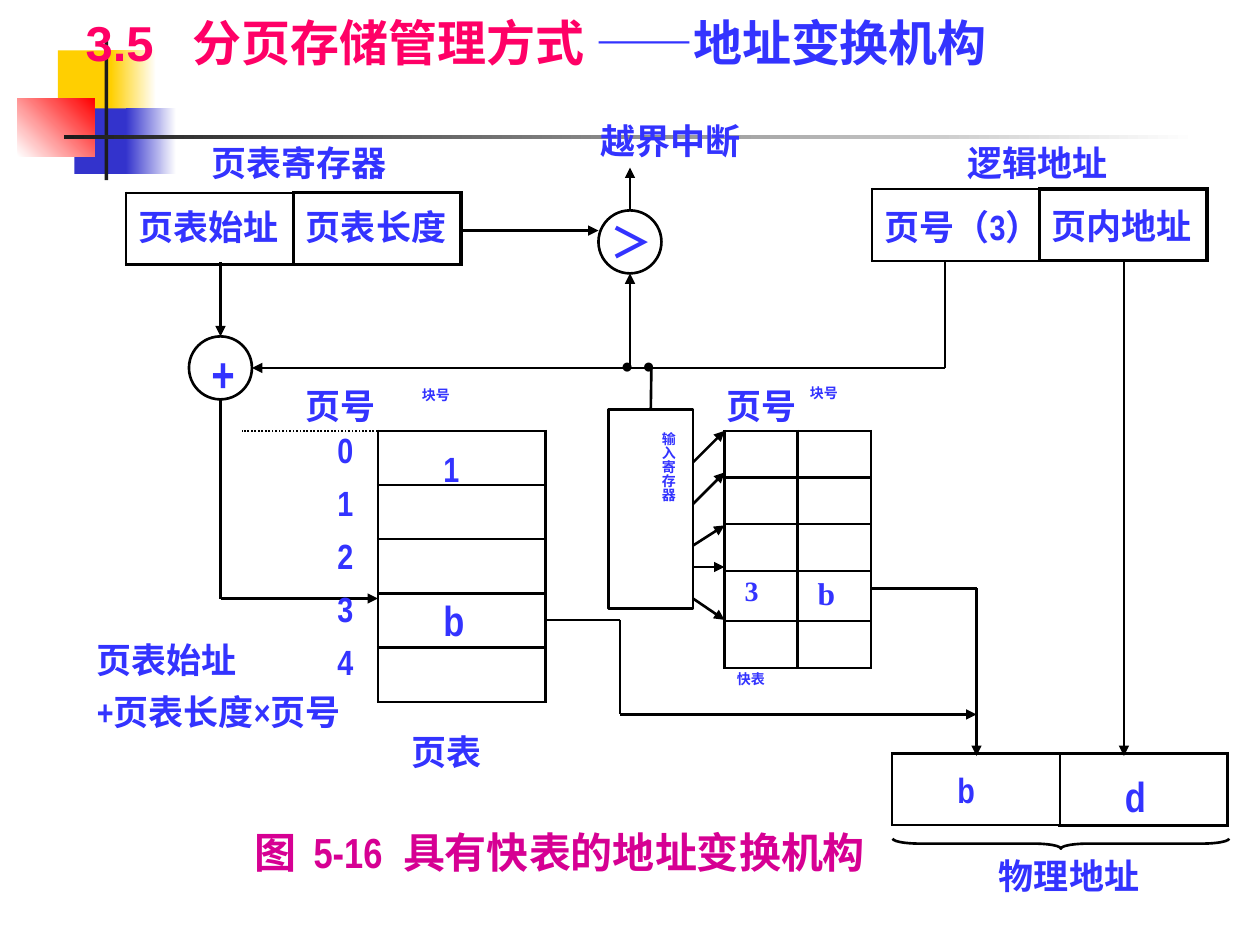
import pptx
import pptx.dml.color
import pptx.enum.dml
import pptx.enum.shapes
import pptx.enum.text
import pptx.oxml
import pptx.oxml.ns
import pptx.util
from pptx.util import Inches

COLORS = {
    "ink": "000000", "white": "FFFFFF", "blue": "3333FF", "pink": "FF0066",
    "magenta": "D60093", "yellow": "FFCF01", "navy": "3333CC", "red": "FF0000",
    "charcoal": "1C1C1C",
}
SHAPES = pptx.enum.shapes.MSO_SHAPE


def color(name):
    return pptx.dml.color.RGBColor.from_string(COLORS[name])


def element(xml):
    return pptx.oxml.parse_xml(xml.replace(">", f" {pptx.oxml.ns.nsdecls('a')}>", 1))


class Diagram:
    font = "Arial Narrow"
    line_width = 1.5

    def __init__(self, slide):
        self.slide = slide

    def run(self, paragraph, text, size, name="blue", font=None):
        run = paragraph.add_run()
        run.text = text
        run.font.name = font or self.font
        run.font.size = pptx.util.Pt(size)
        run.font.bold = True
        run.font.color.rgb = color(name)

    def tabs(self, paragraph, positions):
        stops = "".join(f'<a:tab pos="{Inches(p)}" algn="l"/>' for p in positions)
        paragraph._p.get_or_add_pPr().append(element(f"<a:tabLst >{stops}</a:tabLst>"))

    def title(self, place, runs, tab):
        shape = self.slide.shapes.title
        shape.left, shape.top, shape.width, shape.height = map(Inches, place)
        frame = shape.text_frame
        frame.word_wrap = True
        frame.auto_size = pptx.enum.text.MSO_AUTO_SIZE.NONE
        frame.vertical_anchor = pptx.enum.text.MSO_ANCHOR.TOP
        paragraph = frame.paragraphs[0]
        self.tabs(paragraph, [tab])
        paragraph.alignment = pptx.enum.text.PP_ALIGN.LEFT
        for text, name in runs:
            self.run(paragraph, text, 28, name, "Arial")
        shape.element.getparent().append(shape.element)

    def label(self, place, *lines, size=20, name="blue", tabs=(), vertical=False):
        frame = self.slide.shapes.add_textbox(*map(Inches, place)).text_frame
        frame.word_wrap = True
        frame.auto_size = pptx.enum.text.MSO_AUTO_SIZE.SHAPE_TO_FIT_TEXT
        if vertical:
            frame._txBody.bodyPr.set("vert", "eaVert")
        for index, text in enumerate(lines):
            paragraph = frame.add_paragraph() if index else frame.paragraphs[0]
            if tabs:
                self.tabs(paragraph, tabs)
            if len(lines) > 1:
                paragraph.line_spacing = 0.8
            if index:
                paragraph.space_before = pptx.util.Pt(11)
            self.run(paragraph, text, size, name)

    def shape(self, kind, place, fill=None, gradient=None, angle=0, outline=False):
        shape = self.slide.shapes.add_shape(kind, *map(Inches, place))
        shape.shadow.inherit = False
        if gradient:
            shape.fill.gradient()
            shape.fill.gradient_angle = angle
            for stop, name in zip(shape.fill.gradient_stops, gradient):
                stop.color.rgb = color(name)
        elif fill:
            shape.fill.solid()
            shape.fill.fore_color.rgb = color(fill)
        else:
            shape.fill.background()
        if outline:
            shape.line.color.rgb = color("ink")
            shape.line.width = pptx.util.Pt(self.line_width)
        else:
            shape.line.fill.background()
        return shape

    def segment(self, start, end, arrow=False, target=None, source=None, dotted=False):
        connector = self.slide.shapes.add_connector(
            pptx.enum.shapes.MSO_CONNECTOR.STRAIGHT, *map(Inches, (*start, *end)))
        if source is not None:
            connector.begin_connect(source, 0)
        if target is not None:
            connector.end_connect(target, 0)
        line = connector.line
        line.color.rgb = color("ink")
        line.width = pptx.util.Pt(1 if dotted else self.line_width)
        if dotted:
            line.dash_style = pptx.enum.dml.MSO_LINE.ROUND_DOT
        if arrow:
            line._get_or_add_ln().append(element('<a:tailEnd type="triangle"/>'.replace("/>", "></a:tailEnd>")))
        connector._element.spPr.append(element("<a:effectLst></a:effectLst>"))

    def route(self, *points):
        for index, (start, end) in enumerate(zip(points, points[1:])):
            self.segment(start, end, arrow=index == len(points) - 2)

    def table(self, left, top, columns, rows, heavy_last=False):
        place = map(Inches, (left, top, sum(columns), sum(rows)))
        table = self.slide.shapes.add_table(len(rows), len(columns), *place).table
        table.first_row = table.horz_banding = False
        for column, width in zip(table.columns, columns):
            column.width = Inches(width)
        for row, height in zip(table.rows, rows):
            row.height = Inches(height)
            for index, cell in enumerate(row.cells):
                cell.margin_top = cell.margin_bottom = 0
                heavy = heavy_last and index == len(columns) - 1
                for side in "LRTB":
                    width = pptx.util.Pt(2.25 if heavy and side != "L" else self.line_width)
                    cell._tc.get_or_add_tcPr().append(element(
                        f'<a:ln{side} w="{width}"><a:solidFill><a:srgbClr val="{COLORS["ink"]}"/>'
                        f"</a:solidFill></a:ln{side}>"))
                cell.fill.background()
        return table

    def cell_text(self, cell, text, size):
        cell.margin_left = Inches(0.16)
        cell.margin_top = cell.margin_bottom = Inches(0.05)
        self.run(cell.text_frame.paragraphs[0], text, size, font="Times New Roman")


def main():
    presentation = pptx.Presentation()
    presentation.slide_width, presentation.slide_height = Inches(10), Inches(7.5)
    diagram = Diagram(presentation.slides.add_slide(presentation.slide_layouts[5]))

    for place, fill, gradient, angle in [
        ((0.46, 0.4, 0.48, 0.52), "yellow", None, 0),
        ((0.88, 0.4, 0.36, 0.52), None, ("yellow", "white"), 0),
        ((0.59, 0.86, 0.46, 0.52), "navy", None, 0),
        ((1, 0.86, 0.4, 0.52), None, ("navy", "white"), 0),
        ((0.14, 0.78, 0.61, 0.46), None, ("white", "red"), 45),
        ((0.83, 0.28, 0.03, 1.15), "charcoal", None, 0),
        ((0.51, 1.07, 9, 0.03), None, ("charcoal", "white"), 0),
    ]:
        diagram.shape(SHAPES.RECTANGLE, place, fill, gradient, angle)
    diagram.title((0.58, 0.05, 9.17, 0.57),
                  [("3.5\t分页存储管理方式 ", "pink"), ("——地址变换机构", "blue")], 0.85)

    for left, top in [(1, 1.53), (6.92, 1.5), (7.08, 5.98)]:
        diagram.table(left, top, [1.33, 1.33], [0.57], heavy_last=True)
    diagram.table(3, 3.42, [1.33], [0.43] * 5)
    fast_table = diagram.table(5.75, 3.42, [0.58, 0.58], [0.37, 0.37, 0.37, 0.4, 0.37])
    diagram.cell_text(fast_table.cell(3, 0), "3", 16)
    diagram.cell_text(fast_table.cell(3, 1), "b", 18)

    comparator = diagram.shape(SHAPES.OVAL, (4.75, 1.67, 0.5, 0.5), "white", outline=True)
    adder = diagram.shape(SHAPES.OVAL, (1.5, 2.67, 0.5, 0.5), "white", outline=True)
    input_register = diagram.shape(SHAPES.RECTANGLE, (4.83, 3.25, 0.67, 1.58), "white", outline=True)
    brace = diagram.shape(SHAPES.LEFT_BRACE, (8.38, 5.36, 0.08, 2.67), outline=True)
    brace.adjustments[0] = 2.67
    brace.rotation = 270

    diagram.segment((1.75, 2.08), (1.75, 2.67), arrow=True, target=adder)
    diagram.segment((5, 1.67), (5, 1.33), arrow=True, source=comparator)
    diagram.segment((5.17, 2.92), (5.17, 3.25), target=input_register)
    diagram.segment((3.08, 3.42), (1.92, 3.42), dotted=True)
    diagram.route((7.5, 2.08), (7.5, 2.92), (2, 2.92))
    diagram.route((5, 2.92), (5, 2.17))
    diagram.route((1.75, 3.17), (1.75, 4.75), (3, 4.75))
    diagram.route((8.92, 2.08), (8.92, 6))
    diagram.route((3.67, 1.83), (4.75, 1.83))
    diagram.route((4.33, 4.92), (4.92, 4.92), (4.92, 5.67), (7.75, 5.67))
    diagram.route((6.92, 4.67), (7.75, 4.67), (7.75, 6))
    for start, end in [(3.67, 3.42), (4, 3.75), (4.33, 4.17), (4.5, 4.5), (4.75, 4.92)]:
        diagram.route((5.5, start), (5.75, end))

    for text, left, top, width in [
        ("页表始址", 1, 1.58, 1.92), ("页表长度", 2.33, 1.58, 1.58),
        ("页号（3）", 6.92, 1.58, 1.58), ("页内地址", 8.25, 1.57, 1.67),
        ("越界中断", 4.67, 0.9, 2.17), ("页表寄存器", 1.58, 1.07, 2.67),
        ("逻辑地址", 7.58, 1.07, 1.75), ("物理地址", 7.83, 6.73, 2),
        ("页号", 2.33, 3, 1.25), ("页号", 5.67, 3, 0.92), ("页表", 3.17, 5.75, 0.92),
        ("1", 3.42, 3.5, 0.42), ("b", 7.5, 6.05, 0.67),
    ]:
        diagram.label((left, top, width, 0.43), text)
    for text, left, top, width in [
        ("块号", 3.25, 3.02, 1.5), ("块号", 6.33, 3, 0.92), ("快表", 5.75, 5.27, 1.08),
    ]:
        diagram.label((left, top, width, 0.4), text, size=8)
    for text, left, top, width in [
        ("b", 3.42, 4.67, 0.5), ("d", 8.83, 6.07, 1), ("＞", 4.75, 1.67, 0.75),
    ]:
        diagram.label((left, top, width, 0.5), text, size=24)
    diagram.label((1.58, 2.68, 0.33, 0.57), "+", size=28)
    diagram.label((2.58, 3.42, 0.67, 2.1), *"01234")
    diagram.label((0.67, 5.08, 2.5, 0.8), "页表始址", "+页表长度×页号")
    diagram.label((4.92, 3.33, 0.5, 1.42), "输入寄存器", size=8, vertical=True)
    diagram.label((1.92, 6.51, 6.25, 0.5), "图\t5-16\t具有快表的地址变换机构",
                  size=24, name="magenta", tabs=(0.47, 1.18))
    for left in (4.83, 5):
        diagram.label((left, 2.75, 0.33, 0.3), "●", size=12, name="ink")

    presentation.save("out.pptx")


if __name__ == "__main__":
    main()
